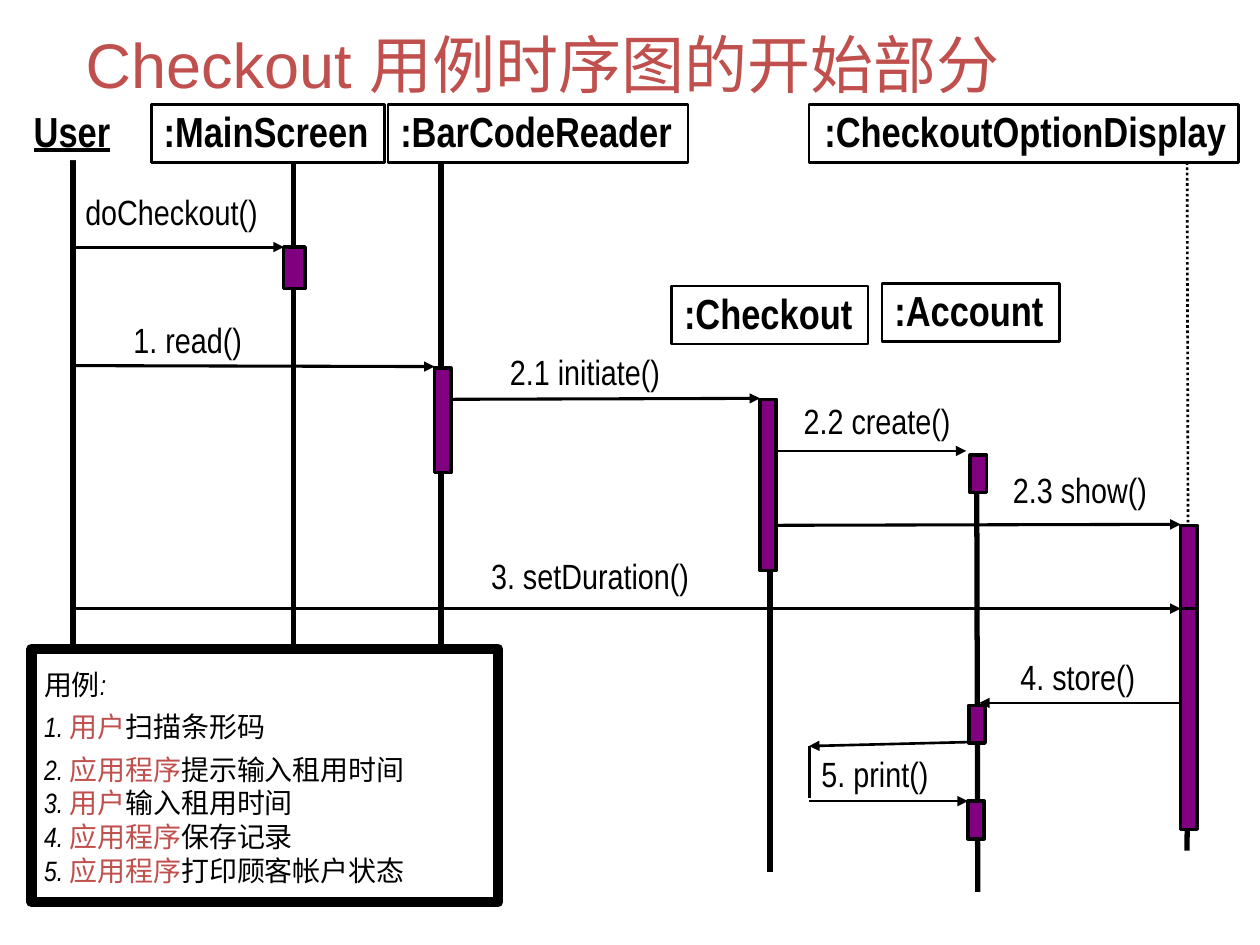
from dataclasses import dataclass
from typing import Optional

from lxml.etree import SubElement
from pptx import Presentation
from pptx.dml.color import RGBColor
from pptx.enum.dml import MSO_LINE
from pptx.enum.shapes import MSO_CONNECTOR, MSO_SHAPE
from pptx.enum.text import MSO_ANCHOR, MSO_AUTO_SIZE, PP_ALIGN
from pptx.oxml.ns import qn
from pptx.util import Cm, Pt


@dataclass(frozen=True)
class Theme:
    """Colours, fonts and type sizes of the slide."""
    ink: RGBColor = RGBColor(0, 0, 0)
    paper: RGBColor = RGBColor(255, 255, 255)
    accent: RGBColor = RGBColor(0xC0, 0x50, 0x4D)
    active: RGBColor = RGBColor(0x80, 0, 0x80)
    title_font: str = "Arial"
    font: str = "Arial Narrow"
    title: int = 36
    head: int = 24
    label: int = 20
    note: int = 16


@dataclass(frozen=True)
class Lifeline:
    """A vertical line of one participant."""
    x: float
    top: float
    bottom: float
    x_end: Optional[float] = None
    width: float = 3
    dash: Optional[MSO_LINE] = None


@dataclass(frozen=True)
class Participant:
    """A named box at the top of a lifeline."""
    name: str
    x: float
    y: float
    w: float
    h: float = 1.17
    framed: bool = True
    align: PP_ALIGN = PP_ALIGN.LEFT


@dataclass(frozen=True)
class Label:
    """The caption of a message."""
    text: str
    x: float
    y: float
    w: float
    fill: Optional[RGBColor] = None


@dataclass(frozen=True)
class Message:
    """A line between two lifelines."""
    x1: float
    y1: float
    x2: float
    y2: float
    label: Optional[Label] = None
    width: float = 1.75
    arrow: bool = True


@dataclass(frozen=True)
class Activation:
    """A bar that marks an active participant."""
    x: float
    y: float
    h: float
    w: float = 0.33


T = Theme()

LIFELINES = [
    Lifeline(5.92, 2.54, 17.35),
    Lifeline(23.93, 2.74, 11, 23.95, 1.5, MSO_LINE.ROUND_DOT),
    Lifeline(19.69, 9.73, 17.98, 19.71),
    Lifeline(15.52, 10.8, 17.58),
    Lifeline(8.89, 2.74, 17.58),
    Lifeline(1.47, 2.74, 17.58),
    Lifeline(23.95, 10.59, 17.15, 23.93),
]
PARTICIPANTS = [
    Participant("User", 0.43, 2.11, 2.06, 1.12, framed=False),
    Participant(":MainScreen", 3.05, 2.11, 4.7),
    Participant(":BarCodeReader", 7.82, 2.11, 6.05),
    Participant(":Checkout", 13.54, 5.77, 3.96),
    Participant(":Account", 17.78, 5.72, 3.58),
    Participant(":CheckoutOptionDisplay", 16.31, 2.11, 8.66, align=PP_ALIGN.RIGHT),
]
MESSAGES = [
    Message(1.47, 4.98, 5.72, 4.98, Label("doCheckout()", 1.47, 3.71, 4.24)),
    Message(1.47, 7.37, 8.76, 7.39, Label("1. read()", 2.44, 6.3, 2.77)),
    Message(8.89, 8.05, 15.32, 8.03, Label("2.1 initiate()", 10.03, 6.93, 3.73)),
    Message(15.44, 9.09, 19.48, 9.09, Label("2.2 create()", 15.95, 7.92, 3.56), 1.5),
    Message(15.44, 10.59, 23.8, 10.57, Label("2.3 show()", 20.17, 9.32, 3.33, T.paper)),
    Message(1.47, 12.27, 23.8, 12.27, Label("3. setDuration()", 9.65, 11.05, 4.75, T.paper)),
    Message(23.77, 14.17, 19.74, 14.17, Label("4. store()", 20.32, 13.08, 2.95, T.paper), 1.5),
    Message(19.51, 14.96, 16.31, 15.04, Label("5. print()", 16.31, 15.04, 2.82, T.paper), 1.5),
    Message(16.31, 15.04, 16.31, 16.08, arrow=False),
    Message(16.31, 16.15, 19.51, 16.15, width=1.5),
]
ACTIVATIONS = [
    Activation(5.72, 4.98, 0.84, 0.43),
    Activation(8.76, 7.42, 2.11),
    Activation(15.32, 8.05, 3.45),
    Activation(19.56, 9.17, 0.76),
    Activation(19.53, 14.22, 0.76),
    Activation(19.51, 16.15, 0.76),
    Activation(23.8, 10.59, 1.7),
    Activation(23.8, 12.27, 4.45),
]
STEPS = [
    ("用户", "扫描条形码"),
    ("应用程序", "提示输入租用时间"),
    ("用户", "输入租用时间"),
    ("应用程序", "保存记录"),
    ("应用程序", "打印顾客帐户状态"),
]


def add_run(p, text: str, *, size: int, font: str = T.font, color: RGBColor = T.ink,
            bold: bool = False, italic: bool = False, underline: bool = False) -> None:
    """Append formatted text to a paragraph."""
    r = p.add_run()
    r.text = text
    f = r.font
    f.name, f.size, f.color.rgb = font, Pt(size), color
    f.bold, f.italic, f.underline = bold, italic, underline


def add_box(s, x: float, y: float, w: float, h: float,
            fill: Optional[RGBColor] = T.paper, width: float = 0):
    """Draw a rectangle, outlined when width is given."""
    sp = s.shapes.add_shape(MSO_SHAPE.RECTANGLE, Cm(x), Cm(y), Cm(w), Cm(h))
    sp.shadow.inherit = False
    if fill is None:
        sp.fill.background()
    else:
        sp.fill.solid()
        sp.fill.fore_color.rgb = fill
    if width:
        sp.line.color.rgb, sp.line.width = T.ink, Pt(width)
    else:
        sp.line.fill.background()
    return sp


def open_text(sp, wrap: bool = False, top: float = 0.13, bottom: float = 0.13):
    """Prepare the text frame of a box and return it with its first paragraph."""
    tf = sp.text_frame
    tf.word_wrap, tf.auto_size = wrap, MSO_AUTO_SIZE.SHAPE_TO_FIT_TEXT
    tf.vertical_anchor = MSO_ANCHOR.TOP
    tf.margin_top, tf.margin_bottom = Cm(top), Cm(bottom)
    p = tf.paragraphs[0]
    p.alignment = PP_ALIGN.LEFT
    return tf, p


def add_line(s, x1: float, y1: float, x2: float, y2: float, width: float,
             dash: Optional[MSO_LINE] = None, arrow: bool = False) -> None:
    """Draw a straight line, with an arrowhead at its end on request."""
    c = s.shapes.add_connector(MSO_CONNECTOR.STRAIGHT, Cm(x1), Cm(y1), Cm(x2), Cm(y2))
    c.line.color.rgb, c.line.width = T.ink, Pt(width)
    if dash is not None:
        c.line.dash_style = dash
    if arrow:
        SubElement(c.line._get_or_add_ln(), qn("a:tailEnd"), type="triangle")
    SubElement(c._element.spPr, qn("a:effectLst"))


def add_title(s, text: str) -> None:
    """Place and format the slide title."""
    sp = s.shapes.title
    sp.left, sp.top, sp.width, sp.height = Cm(1.47), Cm(0.43), Cm(23.06), Cm(1.7)
    tf = sp.text_frame
    tf.auto_size, tf.vertical_anchor = MSO_AUTO_SIZE.NONE, MSO_ANCHOR.MIDDLE
    p = tf.paragraphs[0]
    p.alignment = PP_ALIGN.LEFT
    add_run(p, text, size=T.title, font=T.title_font, color=T.accent)


def add_participant(s, item: Participant) -> None:
    """Draw a participant box with its name."""
    sp = add_box(s, item.x, item.y, item.w, item.h, width=1.5 if item.framed else 0)
    _, p = open_text(sp, top=0.38)
    p.alignment, p.line_spacing = item.align, 0.6
    add_run(p, item.name, size=T.head, bold=True, underline=not item.framed)


def add_message(s, m: Message) -> None:
    """Draw a message line and its caption."""
    if m.label:
        sp = add_box(s, m.label.x, m.label.y, m.label.w, 1.09, m.label.fill)
        add_run(open_text(sp)[1], m.label.text, size=T.label)
    add_line(s, m.x1, m.y1, m.x2, m.y2, m.width, arrow=m.arrow)


def add_use_case(s) -> None:
    """Draw the framed list of use case steps."""
    sp = add_box(s, 0.64, 13.08, 9.4, 5.11, width=6)
    tf, p = open_text(sp, wrap=True, top=0.38, bottom=0.25)
    p.space_after = Pt(5)
    add_run(p, "用例", size=T.note)
    add_run(p, ":", size=T.note, italic=True)
    for n, (actor, action) in enumerate(STEPS, 1):
        p = tf.add_paragraph()
        p.alignment, p.space_after = PP_ALIGN.LEFT, Pt(5 if n == 1 else 0)
        add_run(p, f"{n}. ", size=T.note, italic=True)
        add_run(p, actor, size=T.note, color=T.accent)
        add_run(p, action, size=T.note)


def main() -> None:
    """Build the slide and save it."""
    prs = Presentation()
    prs.slide_width, prs.slide_height = Cm(25.4), Cm(19.05)
    s = prs.slides.add_slide(prs.slide_layouts[5])
    add_title(s, "Checkout 用例时序图的开始部分")
    for l in LIFELINES:
        add_line(s, l.x, l.top, l.x_end or l.x, l.bottom, l.width, l.dash)
    for item in PARTICIPANTS:
        add_participant(s, item)
    for m in MESSAGES:
        add_message(s, m)
    for a in ACTIVATIONS:
        add_box(s, a.x, a.y, a.w, a.h, T.active, 2)
    add_use_case(s)
    prs.save("out.pptx")


if __name__ == "__main__":
    main()
